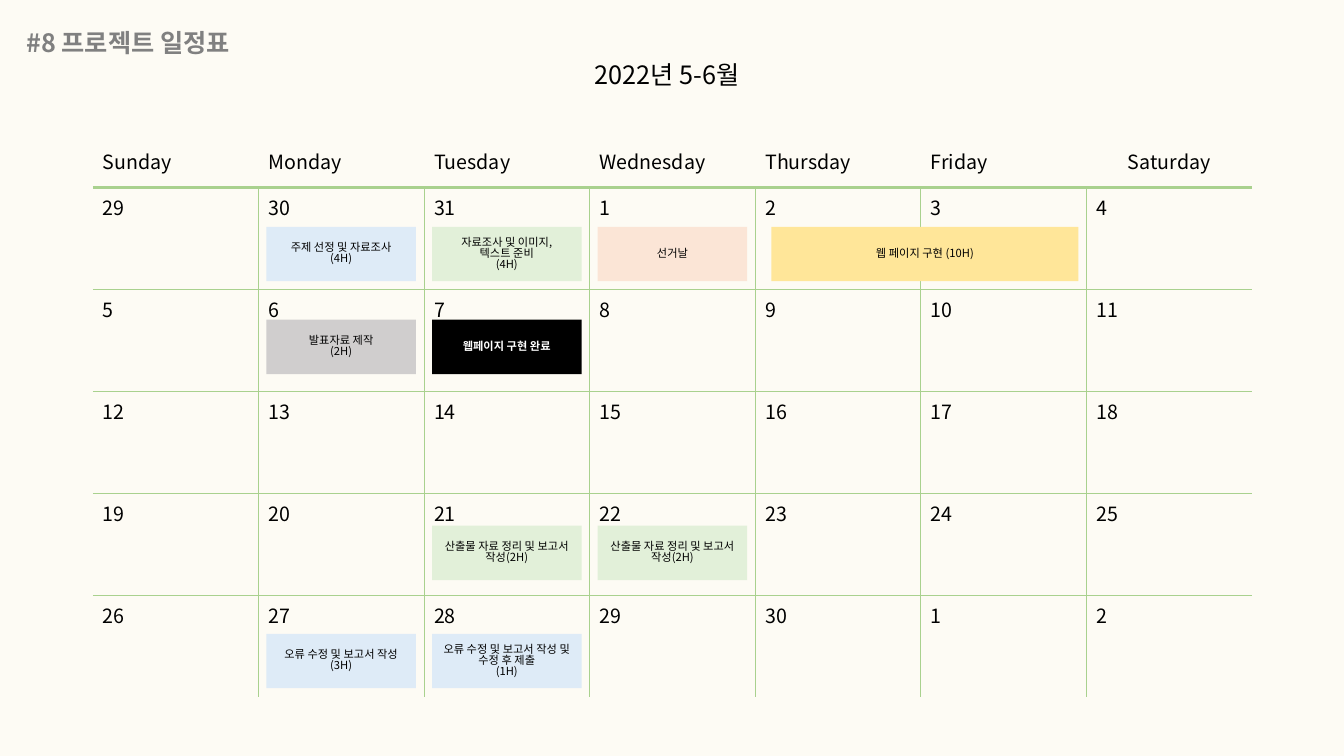
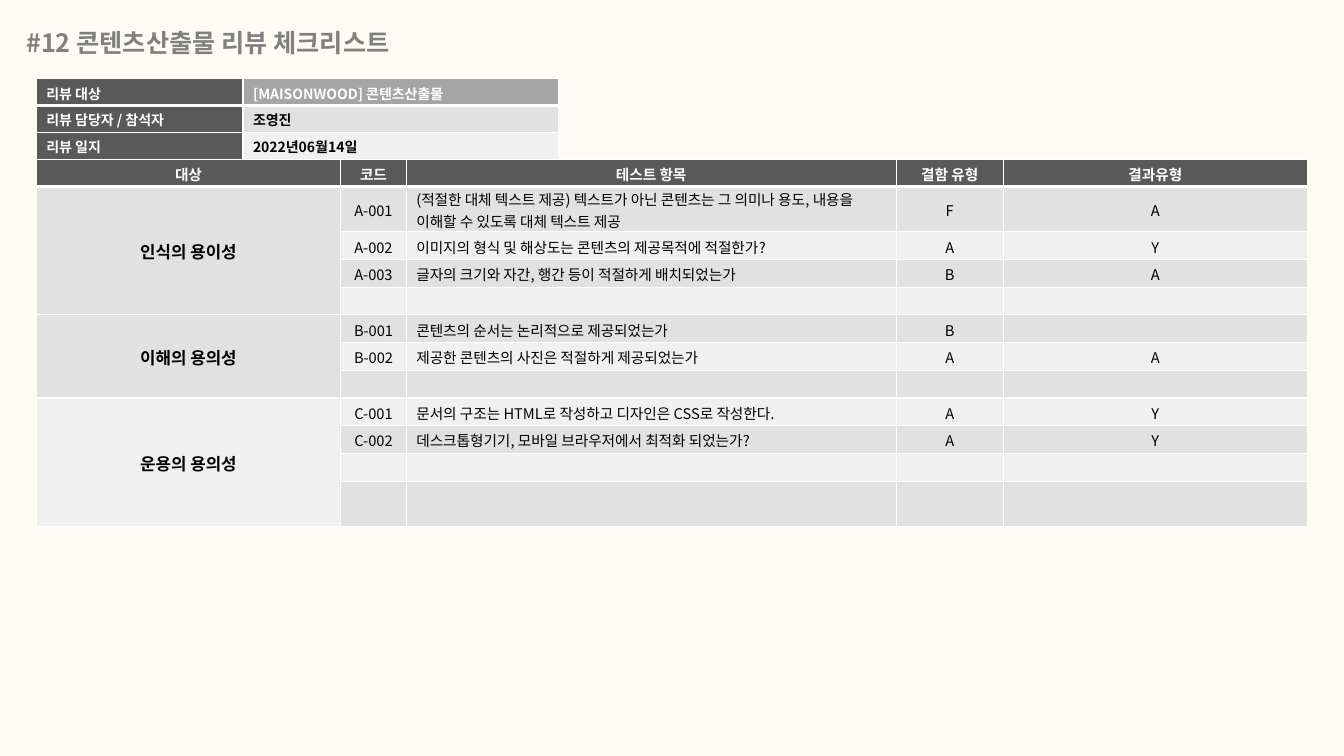
from dataclasses import dataclass
from itertools import chain

from lxml import etree
from pptx import Presentation
from pptx.dml.color import RGBColor
from pptx.enum.shapes import MSO_SHAPE
from pptx.enum.text import MSO_ANCHOR, MSO_AUTO_SIZE, PP_ALIGN
from pptx.oxml.ns import qn
from pptx.util import Inches, Pt

RECTANGLE = MSO_SHAPE.RECTANGLE
TOP, MIDDLE = MSO_ANCHOR.TOP, MSO_ANCHOR.MIDDLE
LEFT, CENTER = PP_ALIGN.LEFT, PP_ALIGN.CENTER
FIXED = MSO_AUTO_SIZE.NONE
TITLE_ONLY = 5


@dataclass(frozen=True)
class Theme:
    """Colours, font and type sizes shared by the slides."""
    font: str = "Noto Sans CJK KR"
    paper: str = "FDFBF4"
    ink: str = "000000"
    white: str = "FFFFFF"
    heading: str = "808080"
    rule: str = "A9D18E"
    dark: str = "595959"
    mid: str = "A5A5A5"
    stripes: tuple = ("E1E1E1", "F0F0F0")
    blue: str = "DEEBF7"
    green: str = "E2F0D9"
    peach: str = "FBE5D6"
    yellow: str = "FFE699"
    gray: str = "D0CECE"
    title_size: float = 18
    day_size: float = 14
    event_size: float = 8
    info_size: float = 10
    check_size: float = 10.5
    group_size: float = 12
    tight: float = 0.83


@dataclass(frozen=True)
class Box:
    """A region of the slide in inches."""
    left: float
    top: float
    width: float
    height: float

    def emu(self):
        """Return the region as slide lengths."""
        return [Inches(v) for v in (self.left, self.top, self.width, self.height)]


THEME = Theme()
WIDTH, HEIGHT = 13.33, 7.5
CALENDAR_BOX = Box(0.92, 1.4, 11.5, 5.52)
MONTH_BOX = Box(5.8, 0.59, 1.73, 0.4)
INFO_BOX = Box(0.36, 0.78, 5.18, 0.8)
CHECK_BOX = Box(0.36, 1.58, 12.61, 3.65)

WEEKDAYS = ["Sunday", "Monday", "Tuesday", "Wednesday", "Thursday", "Friday", "Saturday"]
WEEKS = 5
HEADER_ROW = 0.46
EVENT_DROP = {0: 0.39, 1: 0.3, 3: 0.32, 4: 0.38}
EVENT_HEIGHT = 0.54
EVENT_GAP = 0.08
REPORT = "산출물 자료 정리 및 보고서 작성(2H)"
EVENTS = [
    (0, 1, 1, "주제 선정 및 자료조사\n(4H)", THEME.blue),
    (0, 2, 1, "자료조사 및 이미지,\n텍스트 준비\n(4H)", THEME.green),
    (0, 3, 1, "선거날", THEME.peach),
    (0, 4, 2, "웹 페이지 구현 (10H)", THEME.yellow),
    (1, 1, 1, "발표자료 제작\n(2H)", THEME.gray),
    (1, 2, 1, "웹페이지 구현 완료", THEME.ink),
    (3, 2, 1, REPORT, THEME.green),
    (3, 3, 1, REPORT, THEME.green),
    (4, 1, 1, "오류 수정 및 보고서 작성\n(3H)", THEME.blue),
    (4, 2, 1, "오류 수정 및 보고서 작성 및 수정 후 제출\n(1H)", THEME.blue),
]

INFO = [
    ("리뷰 대상", "[MAISONWOOD] 콘텐츠산출물"),
    ("리뷰 담당자 / 참석자", "조영진"),
    ("리뷰 일지", "2022년06월14일"),
]
INFO_COLUMNS = [2.05, 3.13]

CHECK_HEADER = ["대상", "코드", "테스트 항목", "결함 유형", "결과유형"]
CHECK_COLUMNS = [3.02, 0.65, 4.86, 1.06, 3.02]
CHECK_ROWS = [0.27, 0.45] + [0.275] * 9 + [0.45]
EMPTY = ("", "", "", "")
CHECKS = [
    ("인식의 용이성", [
        ("A-001", "(적절한 대체 텍스트 제공) 텍스트가 아닌 콘텐츠는 그 의미나 용도, "
                  "내용을 이해할 수 있도록 대체 텍스트 제공", "F", "A"),
        ("A-002", "이미지의 형식 및 해상도는 콘텐츠의 제공목적에 적절한가?", "A", "Y"),
        ("A-003", "글자의 크기와 자간, 행간 등이 적절하게 배치되었는가", "B", "A"),
        EMPTY,
    ]),
    ("이해의 용의성", [
        ("B-001", "콘텐츠의 순서는 논리적으로 제공되었는가", "B", ""),
        ("B-002", "제공한 콘텐츠의 사진은 적절하게 제공되었는가", "A", "A"),
        EMPTY,
    ]),
    ("운용의 용의성", [
        ("C-001", "문서의 구조는 HTML로 작성하고 디자인은 CSS로 작성한다.", "A", "Y"),
        ("C-002", "데스크톱형기기, 모바일 브라우저에서 최적화 되었는가?", "A", "Y"),
        EMPTY,
        EMPTY,
    ]),
]


def rgb(color):
    """Turn a hex string into a colour."""
    return RGBColor.from_string(color)


def write(frame, text, size, color=THEME.ink, bold=False, align=LEFT, spacing=None):
    """Fill a text frame and format its paragraphs and runs."""
    frame.text = text
    for paragraph in frame.paragraphs:
        paragraph.alignment = align
        if spacing:
            paragraph.line_spacing = spacing
        for run in paragraph.runs:
            run.font.size = Pt(size)
            run.font.bold = bold
            run.font.name = THEME.font
            run.font.color.rgb = rgb(color)
            etree.SubElement(run.font._element, qn("a:ea"), typeface=THEME.font)
        if not paragraph.runs:
            etree.SubElement(paragraph._p, qn("a:endParaRPr"), sz=str(int(size * 100)))


def set_borders(cell, color, left, right, top, bottom):
    """Draw the four cell edges; a zero width hides an edge."""
    properties = cell._tc.get_or_add_tcPr()
    widths = {"a:lnL": left, "a:lnR": right, "a:lnT": top, "a:lnB": bottom}
    for position, (tag, width) in enumerate(widths.items()):
        edge = etree.Element(qn(tag), w=str(int(Pt(width))))
        if width:
            fill = etree.SubElement(edge, qn("a:solidFill"))
            etree.SubElement(fill, qn("a:srgbClr"), val=color)
        else:
            etree.SubElement(edge, qn("a:noFill"))
        properties.insert(position, edge)


def add_grid(slide, box, columns, rows):
    """Add a plain table with the given column widths and row heights."""
    table = slide.shapes.add_table(len(rows), len(columns), *box.emu()).table
    table.first_row = table.horz_banding = False
    for column, width in zip(table.columns, columns):
        column.width = Inches(width)
    for row, height in zip(table.rows, rows):
        row.height = Inches(height)
    return table


def add_titled_slide(prs, title, width):
    """Add a slide with the shared heading."""
    slide = prs.slides.add_slide(prs.slide_layouts[TITLE_ONLY])
    heading = slide.shapes.title
    heading.left, heading.top, heading.width, heading.height = Box(0.16, 0.27, width, 0.4).emu()
    frame = heading.text_frame
    frame.word_wrap = True
    frame.auto_size = FIXED
    frame.vertical_anchor = TOP
    write(frame, title, THEME.title_size, THEME.heading, True, spacing=THEME.tight)
    return slide


def add_calendar(slide, box):
    """Draw the weekday header and the ruled weeks."""
    day_width = box.width / len(WEEKDAYS)
    week_height = (box.height - HEADER_ROW) / WEEKS
    table = add_grid(slide, box, [day_width] * len(WEEKDAYS), [HEADER_ROW] + [week_height] * WEEKS)
    dates = chain(range(29, 32), range(1, 31), range(1, 3))
    labels = chain(WEEKDAYS, map(str, dates))
    last_day = len(WEEKDAYS) - 1
    edges = [0, 2.25] + [0.5] * (WEEKS - 1) + [0]
    for index, (cell, label) in enumerate(zip(table.iter_cells(), labels)):
        row, day = divmod(index, len(WEEKDAYS))
        centered = row == 0 and day == last_day
        write(cell.text_frame, label, THEME.day_size, align=CENTER if centered else LEFT)
        cell.fill.background()
        set_borders(cell, THEME.rule, 0.5 if row and day else 0,
                    0.5 if row and day < last_day else 0, edges[row], edges[row + 1])


def add_events(slide, box):
    """Place the scheduled tasks over the calendar days."""
    day_width = box.width / len(WEEKDAYS)
    week_height = (box.height - HEADER_ROW) / WEEKS
    for week, day, span, label, color in EVENTS:
        place = Box(box.left + day * day_width + EVENT_GAP * span,
                    box.top + HEADER_ROW + week * week_height + EVENT_DROP[week],
                    span * day_width - EVENT_GAP * (span + 1), EVENT_HEIGHT)
        event = slide.shapes.add_shape(RECTANGLE, *place.emu())
        event.shadow.inherit = False
        event.fill.solid()
        event.fill.fore_color.rgb = rgb(color)
        event.line.fill.background()
        event.text_frame.word_wrap = True
        event.text_frame.vertical_anchor = MIDDLE
        done = color == THEME.ink
        write(event.text_frame, label, THEME.event_size, THEME.white if done else THEME.ink,
              done, CENTER, THEME.tight)


def add_month(slide, box):
    """Write the months above the calendar."""
    frame = slide.shapes.add_textbox(*box.emu()).text_frame
    frame.word_wrap = True
    write(frame, "2022년 5-6월", THEME.title_size, spacing=THEME.tight)


def fill_cell(cell, text, fill, size, color=THEME.ink, bold=False, align=LEFT, top=1, bottom=1):
    """Format one cell of a review table."""
    cell.margin_top, cell.margin_bottom = Inches(0.02), 0
    cell.vertical_anchor = MIDDLE
    write(cell.text_frame, text, size, color, bold, align)
    cell.fill.solid()
    cell.fill.fore_color.rgb = rgb(fill)
    set_borders(cell, THEME.white, 1, 1, top, bottom)


def add_review_info(slide, box):
    """Draw the table naming the review's subject, people and date."""
    table = add_grid(slide, box, INFO_COLUMNS, [box.height / len(INFO)] * len(INFO))
    fills = [THEME.mid, *THEME.stripes]
    for row, (label, value) in enumerate(INFO):
        edges = {"top": 3 if row == 1 else 1, "bottom": 1 if row else 3}
        fill_cell(table.cell(row, 0), label, THEME.dark, THEME.info_size, THEME.white, True, **edges)
        fill_cell(table.cell(row, 1), value, fills[row], THEME.info_size,
                  THEME.ink if row else THEME.white, True, **edges)


def add_checklist(slide, box):
    """Draw the grouped checklist of test items."""
    table = add_grid(slide, box, CHECK_COLUMNS, CHECK_ROWS)
    for column, label in enumerate(CHECK_HEADER):
        fill_cell(table.cell(0, column), label, THEME.dark, THEME.check_size,
                  THEME.white, True, CENTER, bottom=3)
    row = 1
    for group, items in CHECKS:
        first = row
        for item in items:
            fill = THEME.stripes[(row - 1) % 2]
            top = 3 if row == 1 else 1
            fill_cell(table.cell(row, 0), group if row == first else "", fill,
                      THEME.group_size if row == first else THEME.check_size,
                      bold=True, align=CENTER, top=top)
            for column, text in enumerate(item, 1):
                fill_cell(table.cell(row, column), text, fill, THEME.check_size,
                          align=LEFT if column == 2 else CENTER, top=top)
            row += 1
        table.cell(first, 0).merge(table.cell(row - 1, 0))


def build_schedule(prs):
    """Build the project schedule slide."""
    slide = add_titled_slide(prs, "#8 프로젝트 일정표", 2.45)
    add_calendar(slide, CALENDAR_BOX)
    add_month(slide, MONTH_BOX)
    add_events(slide, CALENDAR_BOX)


def build_review(prs):
    """Build the review checklist slide."""
    slide = add_titled_slide(prs, "#12 콘텐츠산출물 리뷰 체크리스트", 4.2)
    add_review_info(slide, INFO_BOX)
    add_checklist(slide, CHECK_BOX)


def main():
    """Build and save the presentation."""
    prs = Presentation()
    prs.slide_width, prs.slide_height = Inches(WIDTH), Inches(HEIGHT)
    background = prs.slide_master.background.fill
    background.solid()
    background.fore_color.rgb = rgb(THEME.paper)
    build_schedule(prs)
    build_review(prs)
    prs.save("out.pptx")


if __name__ == "__main__":
    main()
